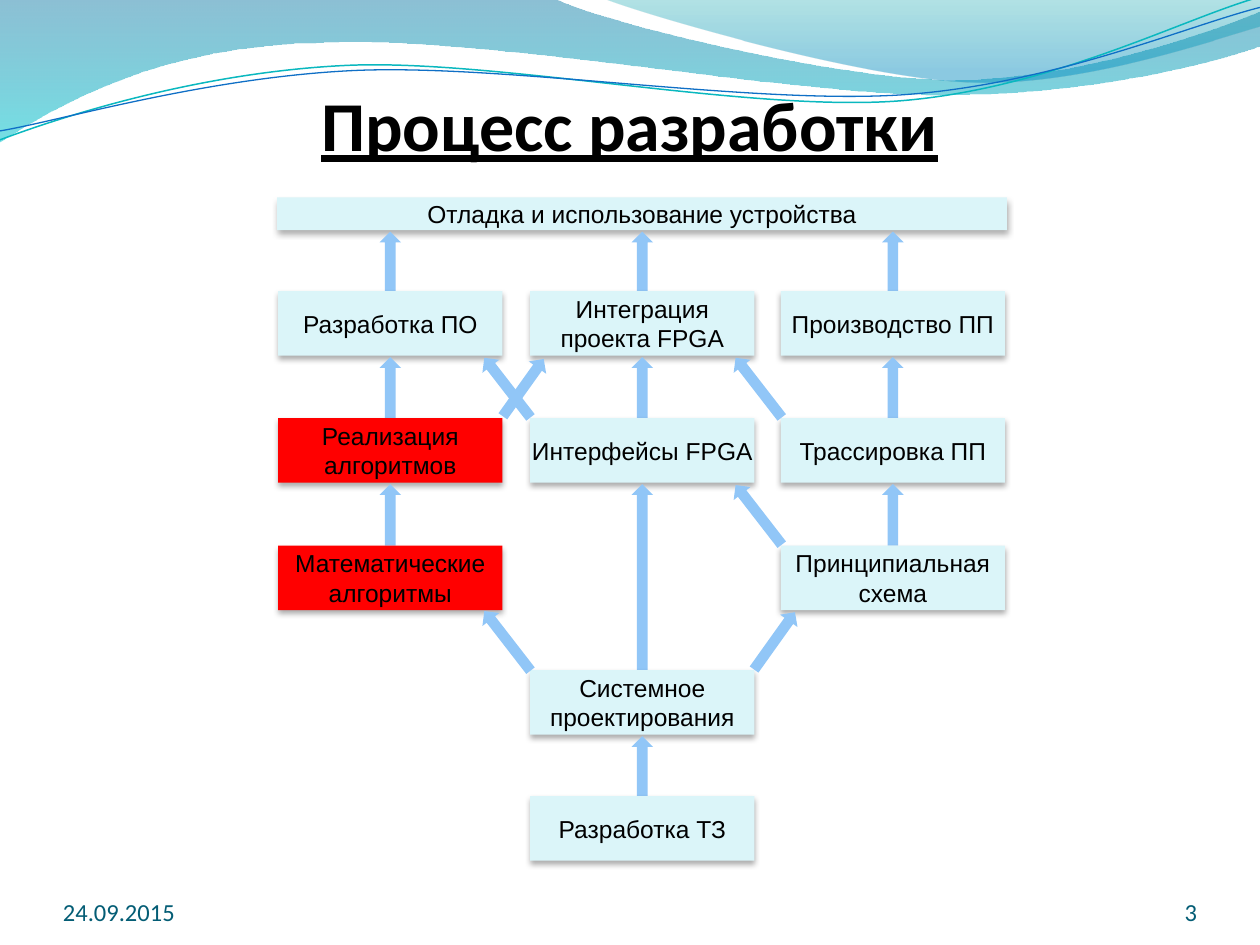
"""Build the development process slide: wave header and a flow of stages."""
import pptx
import pptx.dml.color
import pptx.enum.shapes
import pptx.enum.text
import pptx.oxml.ns
import pptx.util
from lxml import etree

Cm = pptx.util.Cm
Pt = pptx.util.Pt
RGBColor = pptx.dml.color.RGBColor
Shape = pptx.enum.shapes.MSO_SHAPE
Align = pptx.enum.text.PP_ALIGN
Anchor = pptx.enum.text.MSO_ANCHOR
qn = pptx.oxml.ns.qn

BLACK = RGBColor(0x00, 0x00, 0x00)
PALE = RGBColor(0xDB, 0xF5, 0xF9)
RED = RGBColor(0xFF, 0x00, 0x00)
ARROW = RGBColor(0x91, 0xC6, 0xF7)
FOOTER = RGBColor(0x04, 0x5D, 0x75)
TEAL_LINE = RGBColor(0x0A, 0xB8, 0xBF)
BLUE_LINE = RGBColor(0x0F, 0x6F, 0xC6)
DEEP_BLUE = RGBColor(0x00, 0x74, 0xA1)
TURQUOISE = RGBColor(0x00, 0xC6, 0xCF)
TEAL = RGBColor(0x00, 0xA1, 0xA9)
AZURE = RGBColor(0x00, 0x8B, 0xBF)

WAVES = [
    ((0, -0.03),
     [[(11.18, -0.03)],
      [(12.09, 0.43), (16.87, 1.6), (19.25, 1.6)],
      [(21.67, 1.6), (24.33, 0.66), (25.4, 0.23)],
      [(25.43, 0.91)],
      [(24.97, 1.12), (22.1, 1.93), (18.95, 1.91)],
      [(15.8, 1.91), (9.7, 0.71), (6.53, 0.86)],
      [(3.25, 0.89), (1.17, 2.11), (-0.03, 2.87)]],
     [(0, DEEP_BLUE, 45), (1, TURQUOISE, 55)]),
    ((12.17, -0.03),
     [[(12.93, 0.28), (17.32, 1.57), (19.53, 1.65)],
      [(21.74, 1.75), (24.41, 0.81), (25.4, 0.53)],
      [(25.4, 0)]],
     [(0, TEAL, 30), (0.8, AZURE, 45)]),
]
RIPPLES = [
    ((-0.05, 2.22),
     [[(1.19, 1.82), (4.02, 1.04), (7.05, 1.05)],
      [(10.05, 1.07), (15.02, 2.37), (18.08, 2.29)],
      [(21.13, 2.2), (23.87, 0.91), (25.41, 0.55)]],
     TEAL_LINE, 0.85),
    ((-0.04, 2.04),
     [[(1.16, 1.9), (4.18, 1.15), (7.2, 1.16)],
      [(10.25, 1.18), (15.13, 2.23), (18.18, 2.17)],
      [(21.21, 2.1), (23.93, 1.06), (25.45, 0.75)]],
     BLUE_LINE, 0.75),
]
TITLE = "Процесс разработки"
DATE = "24.09.2015"
NUMBER = "3"
GOAL = "Отладка и использование устройства"
STAGES = [
    [(0, "Разработка ПО", PALE), (1, "Интеграция проекта FPGA", PALE),
     (2, "Производство ПП", PALE)],
    [(0, "Реализация алгоритмов", RED), (1, "Интерфейсы FPGA", PALE),
     (2, "Трассировка ПП", PALE)],
    [(0, "Математические алгоритмы", RED), (2, "Принципиальная схема", PALE)],
    [(1, "Системное проектирования", PALE)],
    [(1, "Разработка ТЗ", PALE)],
]
RISES = [
    [(1, -1), (2, -1), (0, -1)],
    [(1, 0), (2, 0), (0, 0)],
    [(2, 1), (0, 1)],
    [(1, 1)],
    [(1, 3)],
]
DIAGONALS = [
    ((1, 3), (2, 2)), ((1, 3), (0, 2)), ((0, 1), (1, 0)),
    ((1, 1), (0, 0)), ((2, 1), (1, 0)), ((2, 2), (1, 1)),
]

COLUMNS = [5.61, 10.69, 15.74]
ROWS = [5.87, 8.43, 11, 13.51, 16.05]
BOX_W, BOX_H = 4.52, 1.3
GOAL_TOP, GOAL_H = 3.98, 0.66
ARROW_W, GAP = 0.43, 0.03
LEANS = {0: (0, 0, 0), 1: (35.5, 1.42, 0.14), -1: (322.2, 1.52, -0.18)}


def add_outline(page, start, segments, close):
    """Draw a freeform of straight and cubic segments, in centimetres."""
    builder = page.shapes.build_freeform(Cm(start[0]), Cm(start[1]))
    builder.add_line_segments(
        [(Cm(x), Cm(y)) for segment in segments for x, y in segment], close=close)
    outline = builder.convert_to_shape()
    outline.shadow.inherit = False
    lines = iter(list(outline.element.spPr.iter(qn("a:lnTo"))))
    for segment in segments:
        steps = [next(lines) for _ in segment]
        if len(steps) == 3:
            curve = etree.Element(qn("a:cubicBezTo"))
            steps[0].addprevious(curve)
            for step in steps:
                curve.append(step[0])
                step.getparent().remove(step)
    return outline


def add_wave(page, start, segments, stops):
    """Draw a filled wave with a translucent vertical gradient."""
    wave = add_outline(page, start, segments, True)
    wave.line.fill.background()
    wave.fill.gradient()
    wave.fill.gradient_angle = 270
    for stop, (position, color, _) in zip(wave.fill.gradient_stops, stops):
        stop.position = position
        stop.color.rgb = color
    for node, (_, _, opacity) in zip(wave.element.spPr.iter(qn("a:srgbClr")), stops):
        etree.SubElement(node, qn("a:alpha"), val=str(opacity * 1000))


def add_ripple(page, start, segments, color, width):
    """Draw a thin open curve, slightly tilted."""
    ripple = add_outline(page, start, segments, False)
    ripple.fill.background()
    ripple.line.color.rgb = color
    ripple.line.width = Pt(width)
    ripple.rotation = 357.3


def set_text(shape, text, size, font, color, align, anchor, margin=0):
    """Put one formatted paragraph into a shape and return its run."""
    frame = shape.text_frame
    frame.text = text
    frame.word_wrap = True
    frame.vertical_anchor = anchor
    frame.margin_left = frame.margin_right = Cm(2 * margin)
    frame.margin_top = frame.margin_bottom = Cm(margin)
    para = frame.paragraphs[0]
    para.alignment = align
    span = para.runs[0]
    span.font.size = Pt(size)
    span.font.name = font
    span.font.color.rgb = color
    return span


def add_solid(page, kind, left, top, width, height, color):
    """Draw a preset shape with a plain fill."""
    shape = page.shapes.add_shape(kind, Cm(left), Cm(top), Cm(width), Cm(height))
    shape.shadow.inherit = False
    shape.fill.solid()
    shape.fill.fore_color.rgb = color
    shape.line.fill.background()
    return shape


def add_stage(page, left, top, width, height, text, color):
    """Draw a labelled box with a soft shadow below it."""
    box = add_solid(page, Shape.RECTANGLE, left, top, width, height, color)
    effects = box.element.spPr.find(qn("a:effectLst"))
    shadow = etree.SubElement(effects, qn("a:outerShdw"), blurRad=str(Pt(3.5)),
                              dist=str(Pt(2.2)), dir="5400000", rotWithShape="0")
    tint = etree.SubElement(shadow, qn("a:srgbClr"), val=str(BLACK))
    etree.SubElement(tint, qn("a:alpha"), val="32000")
    set_text(box, text, 14, "Arial", BLACK, Align.CENTER, Anchor.MIDDLE)


def add_flow(page, source, target):
    """Draw an arrow up from one grid cell to another."""
    lean = target[0] - source[0]
    rotation, height, shift = LEANS[lean]
    head = GAP + (GOAL_TOP + GOAL_H if target[1] < 0 else ROWS[target[1]] + BOX_H)
    tail = ROWS[source[1]]
    height = height or tail - head
    center = (COLUMNS[source[0]] + COLUMNS[target[0]] + BOX_W) / 2 + shift
    arrow = add_solid(page, Shape.UP_ARROW, center - ARROW_W / 2,
                      (head + tail - height) / 2, ARROW_W, height, ARROW)
    arrow.rotation = rotation


def main():
    """Assemble and save the slide."""
    deck = pptx.Presentation()
    deck.slide_width, deck.slide_height = Cm(25.4), Cm(19.05)
    page = deck.slides.add_slide(deck.slide_layouts[6])
    for wave in WAVES:
        add_wave(page, *wave)
    for ripple in RIPPLES:
        add_ripple(page, *ripple)

    title = page.shapes.add_textbox(Cm(6.15), Cm(1.52), Cm(13.08), Cm(1.96))
    span = set_text(title, TITLE, 40, "Calibri", BLACK, Align.CENTER, Anchor.TOP, 0.13)
    span.font.bold = span.font.underline = True
    title.text_frame.word_wrap = False
    title.text_frame.auto_size = pptx.enum.text.MSO_AUTO_SIZE.SHAPE_TO_FIT_TEXT
    for text, left, width, align in [(DATE, 1.27, 5.92, Align.LEFT),
                                     (NUMBER, 22.02, 2.11, Align.RIGHT)]:
        box = page.shapes.add_textbox(Cm(left), Cm(17.65), Cm(width), Cm(1.02))
        set_text(box, text, 14, "Calibri", FOOTER, align, Anchor.BOTTOM)

    add_stage(page, 5.59, GOAL_TOP, 14.71, GOAL_H, GOAL, PALE)
    for row, (stages, rises) in enumerate(zip(STAGES, RISES)):
        for column, target_row in rises:
            add_flow(page, (column, row), (column, target_row))
        for column, text, color in stages:
            add_stage(page, COLUMNS[column], ROWS[row], BOX_W, BOX_H, text, color)
    for source, target in DIAGONALS:
        add_flow(page, source, target)
    deck.save("out.pptx")


if __name__ == "__main__":
    main()
